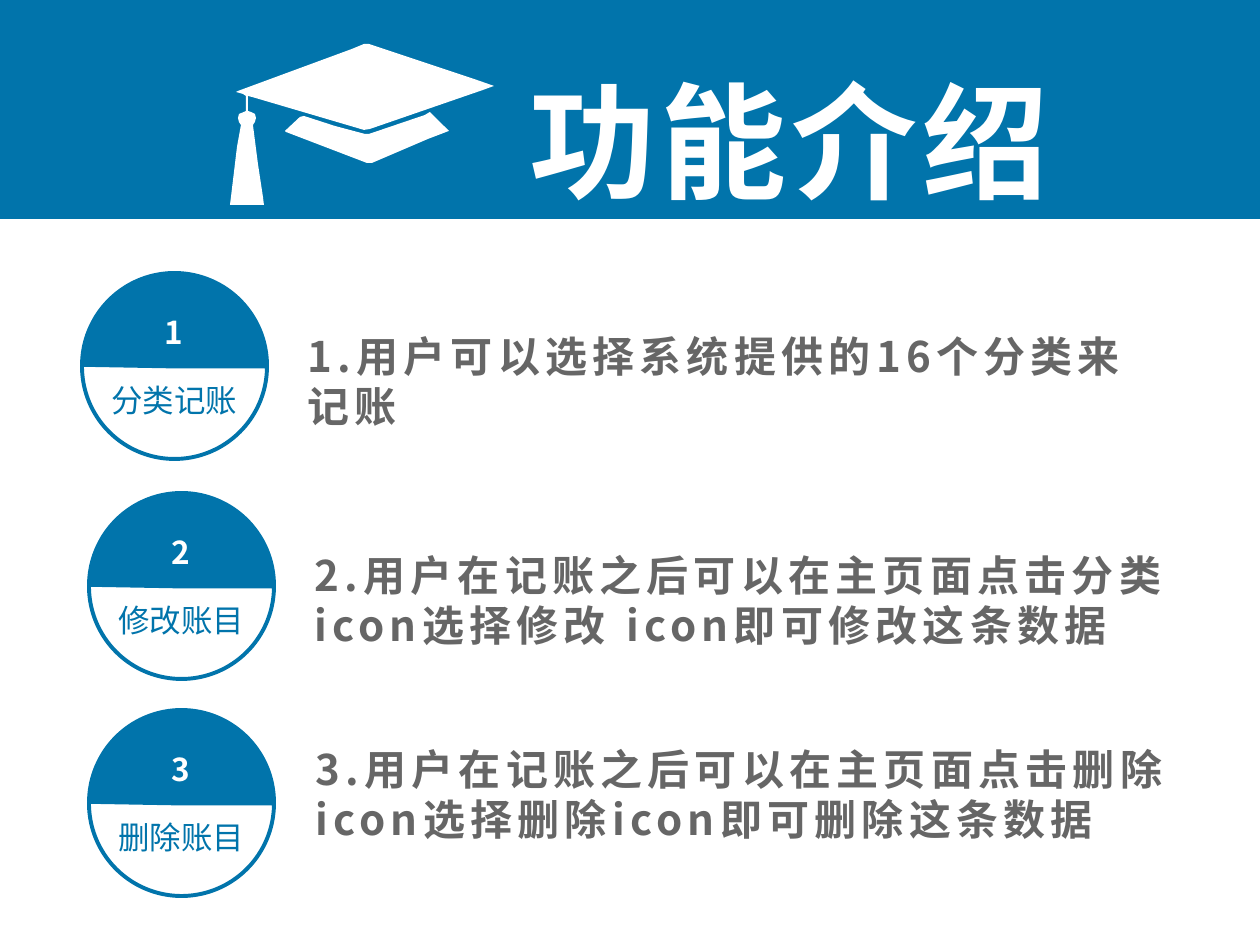
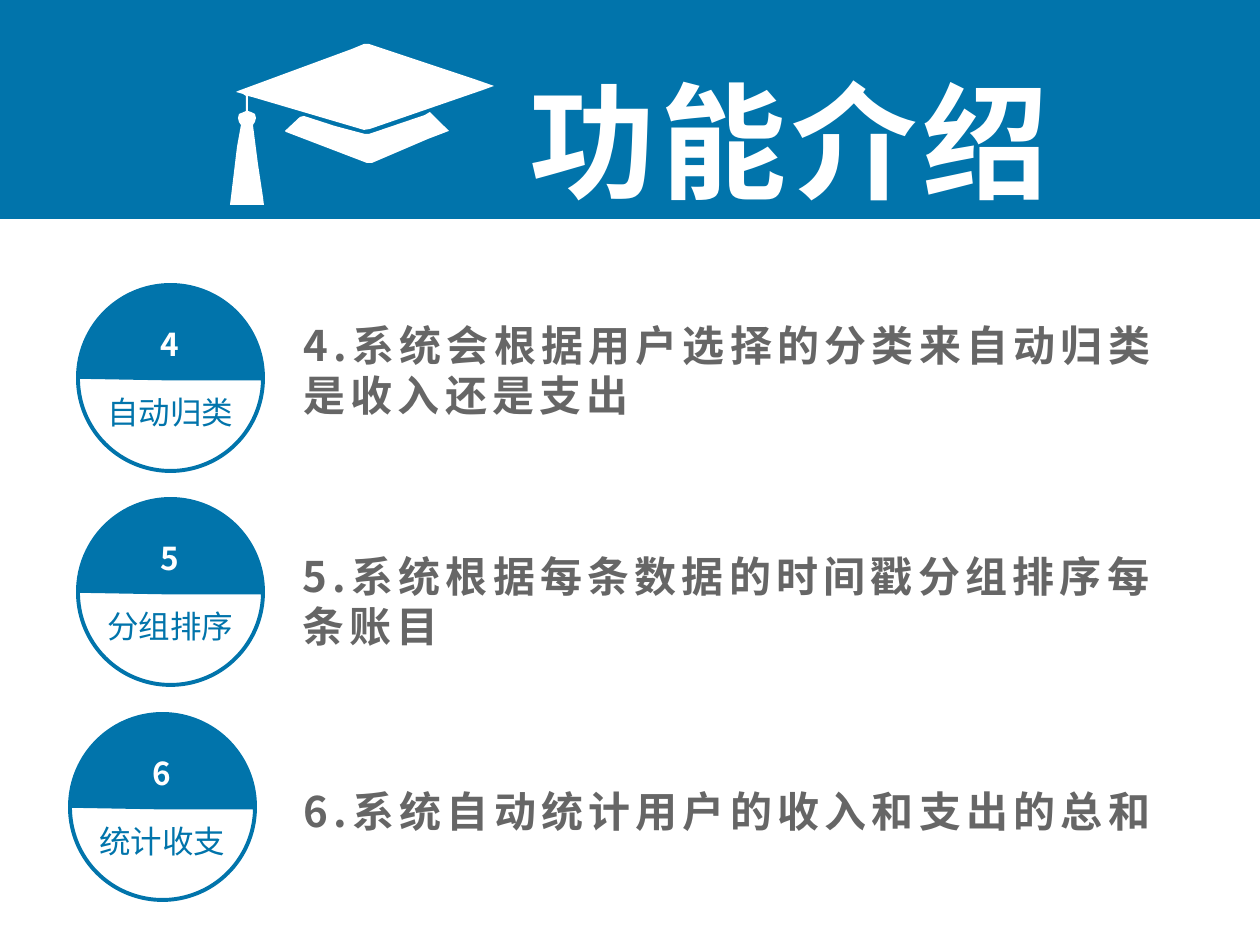
"""Build two feature-introduction slides with a shared header and numbered badges."""
from dataclasses import dataclass
from typing import Any

from lxml import etree
from pptx import Presentation
from pptx import util as u
from pptx.dml.color import RGBColor
from pptx.enum import shapes, text
from pptx.oxml.ns import qn

SCALE = 914400 / 126
FONT = "Noto Sans CJK SC"
BLUE, WHITE, GREY = "0174AB", "FFFFFF", "666666"
HALF_TURN = 108.61
BADGE_SIZE = 185

CAP_AND_TASSEL = [
    (248, 96), (248, 111), (251, 112), (255, 114), (256, 118), (255, 122),
    (253, 125), (258, 164), (263, 197), (264, 205), (230, 205), (231, 197),
    (237, 147), (241, 125), (239, 122), (238, 118), (239, 114), (244, 112),
    (246, 111), (246, 96), (243, 94), (236, 92), (238, 91), (352, 49),
    (364, 44), (369, 44), (474, 79), (494, 86), (483, 90), (370, 129),
    (364, 130), (252, 97),
]
CAP_BASE = [
    (285, 131), (300, 117), (304, 116), (335, 126), (365, 134), (369, 134),
    (425, 115), (430, 112), (449, 131), (428, 139), (372, 163), (367, 163),
    (286, 132),
]


@dataclass(frozen=True)
class Area:
    """A rectangle in pixels."""
    left: int
    top: int
    width: int
    height: int

    def emu(self) -> list[u.Emu]:
        """Return the rectangle's four lengths in EMU."""
        return [u.Emu(round(length * SCALE))
                for length in (self.left, self.top, self.width, self.height)]


@dataclass(frozen=True)
class Style:
    """The look of a line of text."""
    size: int
    color: str
    bold: bool = True
    spacing: int = 0
    align: Any = None


@dataclass(frozen=True)
class Feature:
    """A numbered feature: its badge corner, label and description."""
    number: int
    left: int
    top: int
    label: str
    description: str
    area: Area


TITLE = Style(72, WHITE, spacing=3)
BODY = Style(24, GREY, spacing=3)
NUMBER = Style(18, WHITE, align=text.PP_ALIGN.CENTER)
LABEL = Style(18, BLUE, bold=False, align=text.PP_ALIGN.CENTER)

SLIDES = [
    [
        Feature(1, 82, 273, "分类记账", "用户可以选择系统提供的16个分类来记账",
                Area(295, 324, 881, 115)),
        Feature(2, 89, 493, "修改账目",
                "用户在记账之后可以在主页面点击分类icon选择修改 icon即可修改这条数据",
                Area(302, 543, 881, 115)),
        Feature(3, 89, 710, "删除账目",
                "用户在记账之后可以在主页面点击删除icon选择删除icon即可删除这条数据",
                Area(303, 737, 920, 115)),
    ],
    [
        Feature(4, 78, 285, "自动归类", "系统会根据用户选择的分类来自动归类是收入还是支出",
                Area(291, 313, 920, 115)),
        Feature(5, 78, 499, "分组排序", "系统根据每条数据的时间戳分组排序每条账目",
                Area(290, 544, 920, 115)),
        Feature(6, 70, 714, "统计收支", "系统自动统计用户的收入和支出的总和",
                Area(291, 779, 920, 63)),
    ],
]


def rgb(color: str) -> RGBColor:
    """Turn a hex string into a colour."""
    return RGBColor.from_string(color)


def paint(shape: Any, fill: str | None, line: str | None = None) -> None:
    """Set fill and line, and remove the shadow."""
    shape.shadow.inherit = False
    if fill:
        shape.fill.solid()
        shape.fill.fore_color.rgb = rgb(fill)
    else:
        shape.fill.background()
    if line:
        shape.line.color.rgb = rgb(line)
        shape.line.width = u.Pt(2.25)
    else:
        shape.line.fill.background()


def add_text(parent: Any, area: Area, words: str, style: Style) -> None:
    """Add a wrapping text box that grows with its text."""
    box = parent.add_textbox(*area.emu())
    frame = box.text_frame
    frame.text = words
    frame.word_wrap = True
    frame.auto_size = text.MSO_AUTO_SIZE.SHAPE_TO_FIT_TEXT
    para = frame.paragraphs[0]
    para.alignment = style.align
    span = para.runs[0]
    span.font.size = u.Pt(style.size)
    span.font.bold = style.bold
    span.font.name = FONT
    span.font.color.rgb = rgb(style.color)
    properties = span.font._element
    etree.SubElement(properties, qn("a:ea")).set("typeface", FONT)
    if style.spacing:
        properties.set("spc", str(style.spacing * 100))


def add_outline(parent: Any, points: list[tuple[int, int]]) -> None:
    """Add a closed white polygon."""
    builder = parent.build_freeform(*points[0], scale=SCALE)
    builder.add_line_segments(points[1:], close=True)
    paint(builder.convert_to_shape(), WHITE)


def add_header(page: Any) -> None:
    """Add the title band with the graduation cap."""
    band = page.shapes.add_shape(shapes.MSO_SHAPE.RECTANGLE, *Area(0, 0, 1260, 219).emu())
    paint(band, BLUE)
    group = page.shapes.add_group_shape().shapes
    add_outline(group, CAP_AND_TASSEL)
    add_outline(group, CAP_BASE)
    add_text(group, Area(517, 57, 575, 112), "功能介绍", TITLE)


def add_half(parent: Any, area: Area, start: float, end: float, fill: str | None) -> None:
    """Add one half of a badge."""
    half = parent.add_shape(shapes.MSO_SHAPE.PIE, *area.emu())
    half.adjustments[0] = start
    half.adjustments[1] = end
    paint(half, fill, BLUE)


def add_feature(page: Any, feature: Feature) -> None:
    """Add a badge and its description."""
    left, top = feature.left, feature.top
    group = page.shapes.add_group_shape().shapes
    add_half(group, Area(left, top, BADGE_SIZE, BADGE_SIZE), HALF_TURN, 0, BLUE)
    add_half(group, Area(left, top + 1, BADGE_SIZE, BADGE_SIZE), 0, HALF_TURN, None)
    add_text(group, Area(left + 36, top + 34, 112, 50), str(feature.number), NUMBER)
    add_text(group, Area(left + 7, top + 102, 170, 50), feature.label, LABEL)
    add_text(page.shapes, feature.area, f"{feature.number}.{feature.description}", BODY)


def main() -> None:
    """Build and save the deck."""
    deck = Presentation()
    deck.slide_width, deck.slide_height = u.Inches(10), u.Inches(7.5)
    for features in SLIDES:
        page = deck.slides.add_slide(deck.slide_layouts[6])
        add_header(page)
        for feature in features:
            add_feature(page, feature)
    deck.save("out.pptx")


main()
